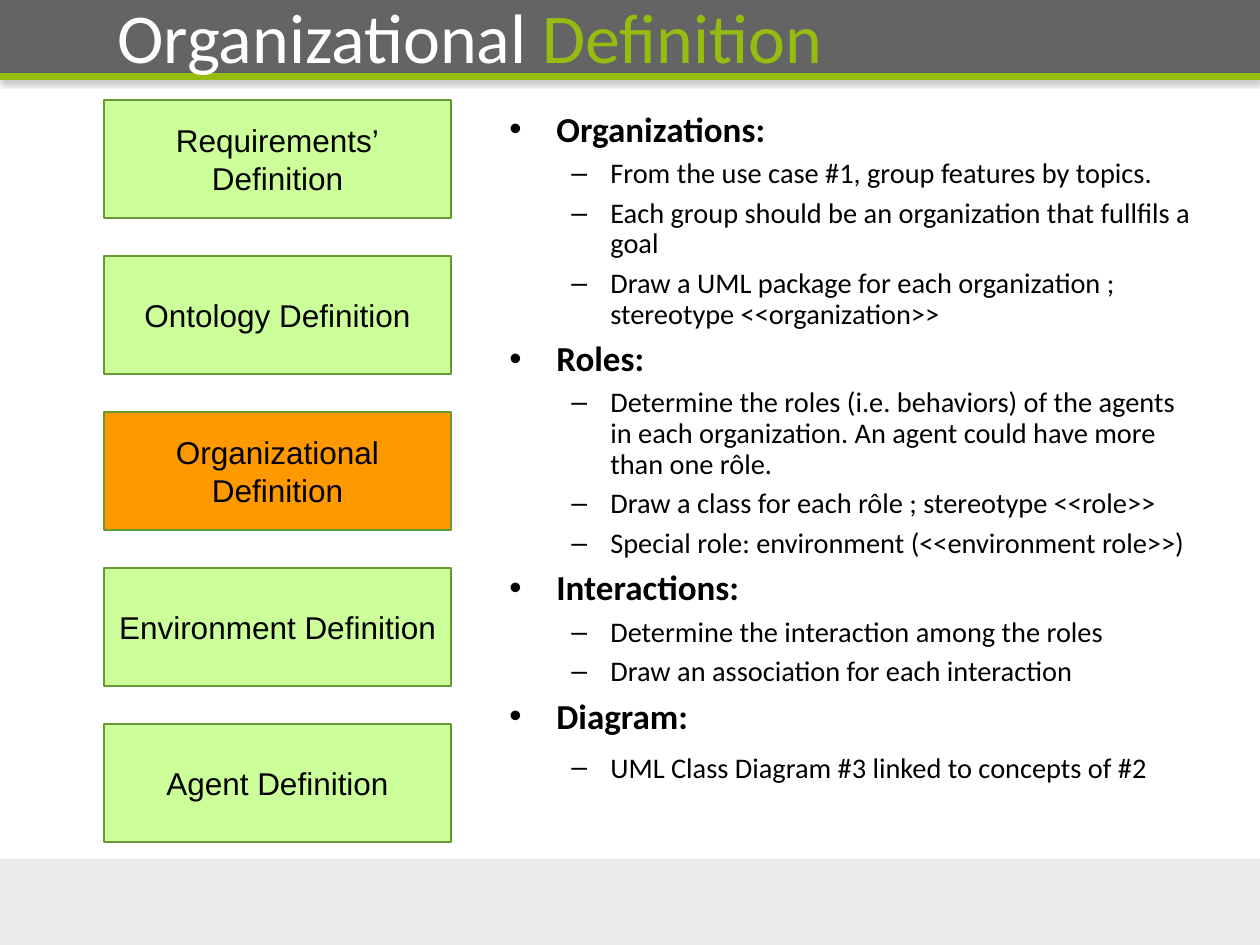
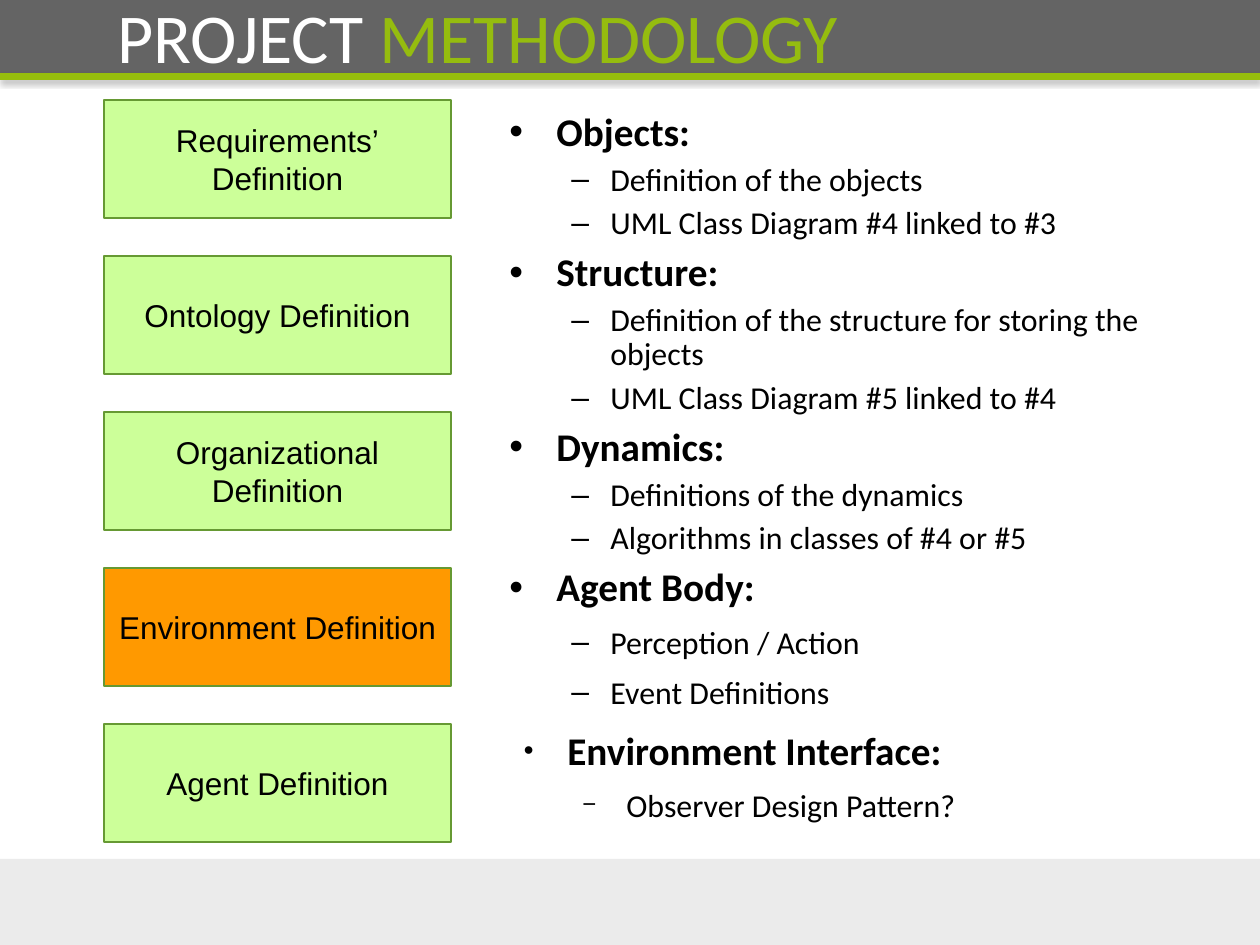
from pptx import Presentation
from pptx.dml.color import RGBColor
from pptx.enum.shapes import MSO_SHAPE
from pptx.enum.text import MSO_ANCHOR, MSO_AUTO_SIZE, PP_ALIGN
from pptx.oxml import parse_xml
from pptx.oxml.ns import nsdecls
from pptx.util import Pt
from lxml.etree import SubElement

PX = 914400 // 126
GREY, LIME, FOOTER, TITLE_LIME = "646464", "96BD0D", "D9D9D9", "95BC0F"
STEP, CURRENT_STEP, STEP_EDGE = "CCFF99", "FF9900", "669933"
BLACK, WHITE = "000000", "FFFFFF"


def color(code):
    return RGBColor.from_string(code)


def rectangle(slide, left, top, width, height, fill):
    box = slide.shapes.add_shape(
        MSO_SHAPE.RECTANGLE, left * PX, top * PX, width * PX, height * PX)
    box.shadow.inherit = False
    box.fill.solid()
    box.fill.fore_color.rgb = color(fill)
    box.line.fill.background()
    return box


steps = ["Requirements’\nDefinition", "Ontology Definition",
         "Organizational\nDefinition", "Environment Definition",
         "Agent Definition"]

# level, margin, indent, line spacing, space before, bullet, bullet percent
styles = {
    "topic": (0, 48, -47, 0.9, 6.4, "•", 100),
    "point": (1, 102, -39, 0.9, 5.2, "–", 100),
    "loose point": (1, 102, -39, 0.8, 11.3, "–", 100),
    "inset topic": (0, 59, -44, 0.8, 14.2, "●", 45),
    "inset point": (1, 118, -44, 0.8, 11.3, "−", 75),
}

pages = [
    ("Organizational ", "Definition", 2, (20, 16.2), [
        ("topic", "Organizations:"),
        ("point", "From the use case #1, group features by topics."),
        ("point", "Each group should be an organization that fullfils a goal"),
        ("point", "Draw a UML package for each organization\u00a0; "
                  "stereotype <<organization>>"),
        ("topic", "Roles:"),
        ("point", "Determine the roles (i.e. behaviors) of the agents in each "
                  "organization. An agent could have more than one rôle. "),
        ("point", "Draw a class for each rôle\u00a0; stereotype <<role>>"),
        ("point", "Special role: environment (<<environment role>>)"),
        ("topic", "Interactions:"),
        ("point", "Determine the interaction among the roles"),
        ("point", "Draw an association for each interaction"),
        ("topic", "Diagram:"),
        ("loose point", "UML Class Diagram #3 linked to concepts of #2"),
    ]),
    ("PROJECT ", "METHODOLOGY", 3, (22.4, 18.2), [
        ("topic", "Objects:"),
        ("point", "Definition of the objects"),
        ("point", "UML Class Diagram #4 linked to #3"),
        ("topic", "Structure:"),
        ("point", "Definition of the structure for storing the objects"),
        ("point", "UML Class Diagram #5 linked to #4"),
        ("topic", "Dynamics:"),
        ("point", "Definitions of the dynamics"),
        ("point", "Algorithms in classes of #4 or #5"),
        ("topic", "Agent Body:"),
        ("loose point", "Perception / Action"),
        ("loose point", "Event Definitions"),
        ("inset topic", "Environment Interface:"),
        ("inset point", "Observer Design Pattern?"),
    ]),
]

deck = Presentation()
deck.slide_width, deck.slide_height = 1260 * PX, 945 * PX
layout = deck.slide_layouts[5]
slides = [deck.slides.add_slide(layout) for page in pages]

header = rectangle(slides[0], 0, 0, 1260, 74, GREY)
stripe = rectangle(slides[0], 0, 73, 1260, 7, LIME)
footer = rectangle(slides[0], 0, 859, 1260, 86, FOOTER)
stripe.element.spPr.remove(stripe.element.spPr[-1])
stripe.element.spPr.append(parse_xml(
    f'<a:effectLst {nsdecls("a")}><a:outerShdw blurRad="39370" dist="22860" '
    'dir="5400000" rotWithShape="0"><a:srgbClr val="000000">'
    '<a:alpha val="35000"/></a:srgbClr></a:outerShdw></a:effectLst>'))
footer_color = footer.fill._xPr.solidFill[0]
footer_color.append(parse_xml(f'<a:alpha {nsdecls("a")} val="51000"/>'))
for number, band in enumerate((header, stripe, footer)):
    band.element.nvSpPr.cNvPr.set("id", str(20 + number))
    layout.element.cSld.spTree.insert(2 + number, band.element)

for slide, (lead, accent, current, sizes, outline) in zip(slides, pages):
    title = slide.shapes.title
    title.left, title.top = 105 * PX, 6 * PX
    title.width, title.height = 1106 * PX, 59 * PX
    heading = title.text_frame
    heading.auto_size = MSO_AUTO_SIZE.NONE
    heading.word_wrap = True
    heading.vertical_anchor = MSO_ANCHOR.MIDDLE
    heading.paragraphs[0].alignment = PP_ALIGN.LEFT
    for words, shade in ((lead, WHITE), (accent, TITLE_LIME)):
        run = heading.paragraphs[0].add_run()
        run.text = words
        run.font.name, run.font.size = "Calibri", Pt(40)
        run.font.color.rgb = color(shade)

    for row, step in enumerate(steps):
        box = rectangle(slide, 104, 100 + 156 * row, 347, 118,
                        CURRENT_STEP if row == current else STEP)
        box.line.color.rgb = color(STEP_EDGE)
        box.line.width = Pt(0.75)
        label = box.text_frame
        label.text = step
        label.word_wrap = False
        label.vertical_anchor = MSO_ANCHOR.MIDDLE
        for paragraph in label.paragraphs:
            paragraph.alignment = PP_ALIGN.CENTER
            font = paragraph.runs[0].font
            font.name, font.size = "Arial", Pt(18)
            font.color.rgb = color(BLACK)

    body = slide.shapes.add_textbox(
        496 * PX, 106 * PX, 709 * PX, 735 * PX).text_frame
    body.word_wrap = True
    body.text = "\n".join(text for style, text in outline)
    for paragraph, (style, text) in zip(body.paragraphs, outline):
        level, margin, indent, spacing, before, bullet, percent = styles[style]
        paragraph.level = level
        paragraph.line_spacing = spacing
        paragraph.space_before = Pt(before)
        font = paragraph.runs[0].font
        font.name, font.size = "Calibri", Pt(sizes[level])
        font.bold = level == 0
        font.color.rgb = color(BLACK)
        properties = paragraph._p.get_or_add_pPr()
        properties.set("marL", str(margin * PX))
        properties.set("indent", str(indent * PX))
        properties.append(parse_xml(
            f'<a:buClr {nsdecls("a")}><a:srgbClr val="{BLACK}"/></a:buClr>'))
        namespace = "{http://schemas.openxmlformats.org/drawingml/2006/main}"
        SubElement(properties, namespace + "buSzPct", val=str(percent * 1000))
        SubElement(properties, namespace + "buFont", typeface="Arial")
        SubElement(properties, namespace + "buChar", char=bullet)

deck.save("out.pptx")
